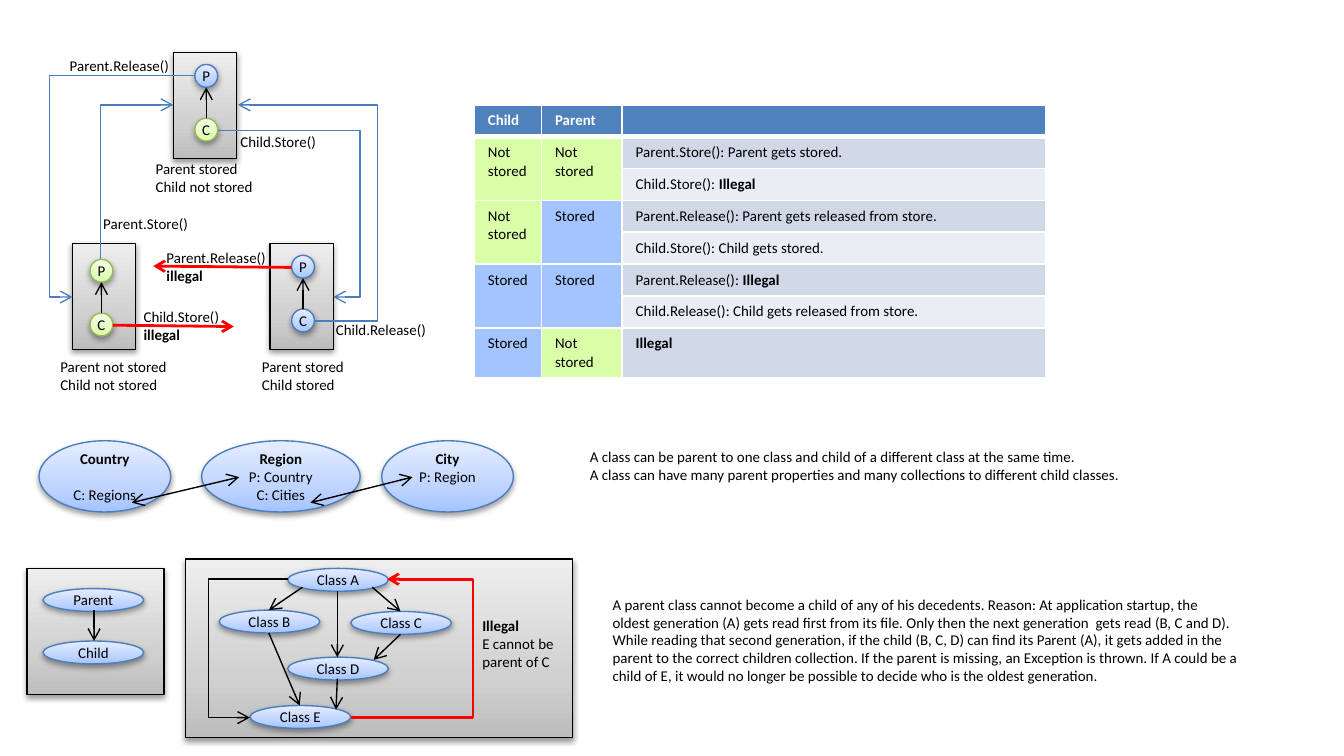
from lxml import etree
from pptx import Presentation
from pptx.dml.color import RGBColor
from pptx.enum.shapes import MSO_CONNECTOR, MSO_SHAPE
from pptx.enum.text import MSO_ANCHOR, MSO_AUTO_SIZE, PP_ALIGN
from pptx.oxml import parse_xml
from pptx.oxml.ns import nsdecls, qn
from pptx.util import Inches, Pt

RECT, OVAL = MSO_SHAPE.RECTANGLE, MSO_SHAPE.OVAL
STRAIGHT, ELBOW = MSO_CONNECTOR.STRAIGHT, MSO_CONNECTOR.ELBOW
FIT, MIDDLE, CENTER = MSO_AUTO_SIZE.SHAPE_TO_FIT_TEXT, MSO_ANCHOR.MIDDLE, PP_ALIGN.CENTER

FONT, SIZE = "Calibri", 8
COLORS = {"black": "000000", "white": "FFFFFF", "red": "FF0000", "blue": "4B7EBC",
          "head": "4F81BD", "no": "DAFDA7", "yes": "A3C4FF",
          "band": "D0D8E8", "pale": "E9EDF4"}
# look: three gradient stops and the outline
LOOKS = {"grey": ("BDBDBD", "D1D1D1", "EEEEEE", "000000"),
         "green": ("DAFDA7", "E4FCC2", "F5FFE7", "98B955"),
         "blue": ("A4C4FF", "BFD4FF", "E6EEFF", "4B7EBC")}

# In every text, "*" starts bold.
# frame left and top, P left and top, look of P and of C
STATES = [(0.54, 1.81, 0.67, 1.93, "green", "green"),
          (1.29, 0.39, 1.45, 0.48, "blue", "green"),
          (2.01, 1.81, 2.17, 1.9, "blue", "blue")]
DOT, STEP = 0.17, 0.4
PANELS = [(1.38, 4.16, 2.88, 1.33), (0.2, 4.23, 1.02, 0.94)]
NODES = [("Class A", 2.14, 4.23), ("Class B", 1.63, 4.54), ("Class C", 2.61, 4.55),
         ("Class D", 2.14, 4.89), ("Class E", 1.86, 5.25),
         ("Parent", 0.32, 4.38), ("Child", 0.32, 4.77)]
PLACES = [(["*Country", "C: Regions"], 0.29, 0.98),
          (["*Region", "P: Country", "C: Cities"], 1.5, 1.18),
          (["*City", "P: Region"], 2.84, 0.98)]
ARROWS = [(2.25, 4.37, 2, 4.54), (2.77, 4.37, 2.98, 4.55), (2.51, 4.4, 2.51, 4.89),
          (2.51, 5.05, 2.5, 5.28), (2, 4.71, 2.23, 5.25), (2.98, 4.72, 2.78, 4.91),
          (0.7, 4.54, 0.7, 4.77)]
LINKS = [(0.98, 3.74, 1.78, 3.55), (2.31, 3.74, 3.07, 3.55)]
BANNED = [(0.84, 2.42, 1.74, 2.43), (2.17, 1.99, 1.14, 1.98)]
# start, end, x of the upright part, colour, width
BENDS = [((2.34, 2.39, 1.77, 0.78), 2.81, "blue", 0.75),
         ((1.62, 0.97, 2.48, 2.21), 2.68, "blue", 0.75),
         ((1.45, 0.56, 0.54, 2.21), 0.37, "blue", 0.75),
         ((2.61, 5.34, 2.88, 4.31), 3.52, "red", 1.5),
         ((2.14, 4.31, 1.86, 5.34), 1.55, "black", 0.75)]
CORNER = (1.29, 0.78, 0.75, 1.93)
LABELS = [
    (["Parent not stored", "Child not stored"], 0.35, 2.61, 1.01, 0.37),
    (["Parent stored", "Child not stored"], 1.06, 1.14, 0.93, 0.37),
    (["Parent stored", "Child stored"], 1.85, 2.61, 0.82, 0.37),
    (["A class can be parent to one class and child of a different class at the same time.",
      "A class can have many parent properties and many collections to different child classes."],
     4.29, 3.28, 4.17, 0.37),
    (["*Illegal", "E cannot be ", "parent of C"], 3.49, 4.54, 0.76, 0.5),
    (["Child.Store()", "*illegal"], 0.97, 2.24, 0.77, 0.37),
    (["Parent.Release()", "*illegal"], 1.14, 1.8, 0.95, 0.37),
    (["Parent.Store()"], 0.67, 1.55, 0.84, 0.24),
    (["Parent.Release()"], 0.42, 0.37, 0.95, 0.24),
    (["Child.Store()"], 1.69, 0.94, 0.77, 0.24),
    (["Child.Release()"], 2.4, 2.34, 0.88, 0.24)]
REASON = (
    "A parent class cannot become a child of any of his decedents. Reason: At application "
    "startup, the oldest generation (A) gets read first from its file. Only then the next "
    "generation  gets read (B, C and D). While reading that second generation, if the child "
    "(B, C, D) can find its Parent (A), it gets added in the parent to the correct children "
    "collection. If the parent is missing, an Exception is thrown. If A could be a child of E, "
    "it would no longer be possible to decide who is the oldest generation.")
HEADS = ["*Child", "*Parent", ""]
# child, parent, what each call does
CASES = [("Not stored", "Not stored",
          ["Parent.Store(): Parent gets stored.", "Child.Store(): *Illegal"]),
         ("Not stored", "Stored",
          ["Parent.Release(): Parent gets released from store.",
           "Child.Store(): Child gets stored."]),
         ("Stored", "Stored",
          ["Parent.Release():* Illegal", "Child.Release(): Child gets released from store."]),
         ("Stored", "Not stored", ["*Illegal"])]
# rows grow to fit their text
COLS, ROWS = [0.5, 0.6, 3.15], [0.21, 0.14, 0.14, 0.16, 0.16, 0.17, 0.17, 0]


def rgb(name):
    """Return a named colour."""
    return RGBColor.from_string(COLORS[name])


def write(frame, lines, color="black", align=None):
    """Fill a text frame, one paragraph a line."""
    frame.text = "\n".join(lines)
    for para, line in zip(frame.paragraphs, lines):
        para.alignment = align
        para.text = ""
        for i, part in enumerate(line.split("*")):
            if part:
                run = para.add_run()
                run.text = part
                font = run.font
                font.name, font.size, font.bold = FONT, Pt(SIZE), i == 1
                font.color.rgb = rgb(color)
        if not line:
            etree.SubElement(para._p, qn("a:endParaRPr")).set("sz", str(SIZE * 100))


def block(kind, look, x, y, w, h, lines=()):
    """Add a shaded shape with a soft shadow."""
    shape = slide.shapes.add_shape(kind, Inches(x), Inches(y), Inches(w), Inches(h))
    *stops, edge = LOOKS[look]
    shape.line.color.rgb = RGBColor.from_string(edge)
    shape.line.width = Pt(0.75)
    shape.fill.gradient()
    marks = "".join(f'<a:gs pos="{pos}"><a:srgbClr val="{c}"/></a:gs>'
                    for pos, c in zip((0, 35000, 100000), stops))
    props = shape._element.spPr
    props.replace(props.find(qn("a:gradFill")), parse_xml(
        f'<a:gradFill {nsdecls("a")} rotWithShape="1"><a:gsLst>{marks}</a:gsLst>'
        '<a:lin ang="16200000" scaled="0"/></a:gradFill>'))
    shape.shadow.inherit = False
    props.find(qn("a:effectLst")).append(parse_xml(
        f'<a:outerShdw {nsdecls("a")} blurRad="40000" dist="20000" dir="5400000" '
        'rotWithShape="0"><a:srgbClr val="000000"><a:alpha val="38000"/></a:srgbClr>'
        '</a:outerShdw>'))
    frame = shape.text_frame
    frame.margin_left = frame.margin_right = frame.margin_top = frame.margin_bottom = 0
    frame.vertical_anchor, frame.word_wrap = MIDDLE, False
    if lines:
        write(frame, lines, align=CENTER)
    return frame


def wire(ends, color="black", width=0.75, tips=("tailEnd",), kind=STRAIGHT):
    """Add a line with open arrowheads and return its geometry."""
    line = slide.shapes.add_connector(kind, *[Inches(v) for v in ends])
    line.line.color.rgb = rgb(color)
    line.line.width = Pt(width)
    props = line._element.spPr
    for tip in tips:
        etree.SubElement(props.find(qn("a:ln")), qn("a:" + tip)).set("type", "arrow")
    etree.SubElement(props, qn("a:effectLst"))
    return props.find(qn("a:prstGeom"))


def bend(ends, mid, color, width):
    """Add an elbow arrow whose upright part stands at mid."""
    geom = wire(ends, color, width, kind=ELBOW)
    ratio = round((mid - ends[0]) / (ends[2] - ends[0]) * 100000)
    guides = geom.find(qn("a:avLst"))
    if guides is None:
        guides = etree.SubElement(geom, qn("a:avLst"))
    guide = etree.SubElement(guides, qn("a:gd"))
    guide.set("name", "adj1")
    guide.set("fmla", f"val {ratio}")


def label(lines, x, y, w, h, wrap=False):
    """Add a text box."""
    box = slide.shapes.add_textbox(Inches(x), Inches(y), Inches(w), Inches(h))
    frame = box.text_frame
    write(frame, lines)
    frame.word_wrap = wrap
    if not wrap:
        frame.auto_size = FIT


def paint(cell, text, fill, color="black", base=1):
    """Write, fill and rule one table cell."""
    write(cell.text_frame, [text], color)
    cell.fill.solid()
    cell.fill.fore_color.rgb = rgb(fill)
    props = cell._tc.get_or_add_tcPr()
    for i, side in enumerate("LRTB"):
        wide = Pt(base if side == "B" else 1)
        props.insert(i, parse_xml(
            f'<a:ln{side} {nsdecls("a")} w="{wide}"><a:solidFill>'
            f'<a:srgbClr val="{COLORS["white"]}"/></a:solidFill></a:ln{side}>'))


def cases():
    """Add the table of calls for each stored state."""
    table = slide.shapes.add_table(len(ROWS), len(COLS), Inches(3.53), Inches(0.78),
                                   Inches(sum(COLS)), Inches(2)).table
    for col, width in zip(table.columns, COLS):
        col.width = Inches(width)
    for row, height in zip(table.rows, ROWS):
        row.height = Inches(height)
    for c, text in enumerate(HEADS):
        paint(table.cell(0, c), text, "head", "white", 3)
    top = 1
    for *states, calls in CASES:
        last = top + len(calls) - 1
        for c, state in enumerate(states):
            fill = "yes" if state == "Stored" else "no"
            for r in range(top, last + 1):
                paint(table.cell(r, c), state if r == top else "", fill)
            if last > top:
                table.cell(top, c).merge(table.cell(last, c))
        for i, call in enumerate(calls):
            paint(table.cell(top + i, 2), call, ("band", "pale")[i])
        top = last + 1


deck = Presentation()
deck.slide_width = Inches(10)
deck.slide_height = deck.slide_width * 9 // 16
slide = deck.slides.add_slide(deck.slide_layouts[6])

for panel in PANELS:
    block(RECT, "grey", *panel)
for x, y, left, top, p_look, c_look in STATES:
    block(RECT, "grey", x, y, 0.47, 0.79)
    block(OVAL, p_look, left, top, DOT, DOT, ["P"])
    block(OVAL, c_look, left, top + STEP, DOT, DOT, ["C"])
    mid = left + DOT / 2
    wire((mid, top + STEP, mid, top + DOT))
cases()
country, region, city = [block(OVAL, "blue", x, 3.28, w, 0.53, lines)
                         for lines, x, w in PLACES]
country.paragraphs[1].space_before = Pt(10)
city.margin_bottom = Inches(0.13)
for name, x, y in NODES:
    block(OVAL, "blue", x, y, 0.75, DOT, [name])
for ends in ARROWS:
    wire(ends)
for ends in LINKS:
    wire(ends, tips=("headEnd", "tailEnd"))
for ends in BANNED:
    wire(ends, "red", 1.5)
for item in BENDS:
    bend(*item)
wire(CORNER, "blue", tips=("headEnd",), kind=ELBOW).set("prst", "bentConnector2")
for item in LABELS:
    label(*item)
label([REASON], 4.46, 4.38, 4.86, 0.8, wrap=True)

deck.save("out.pptx")
